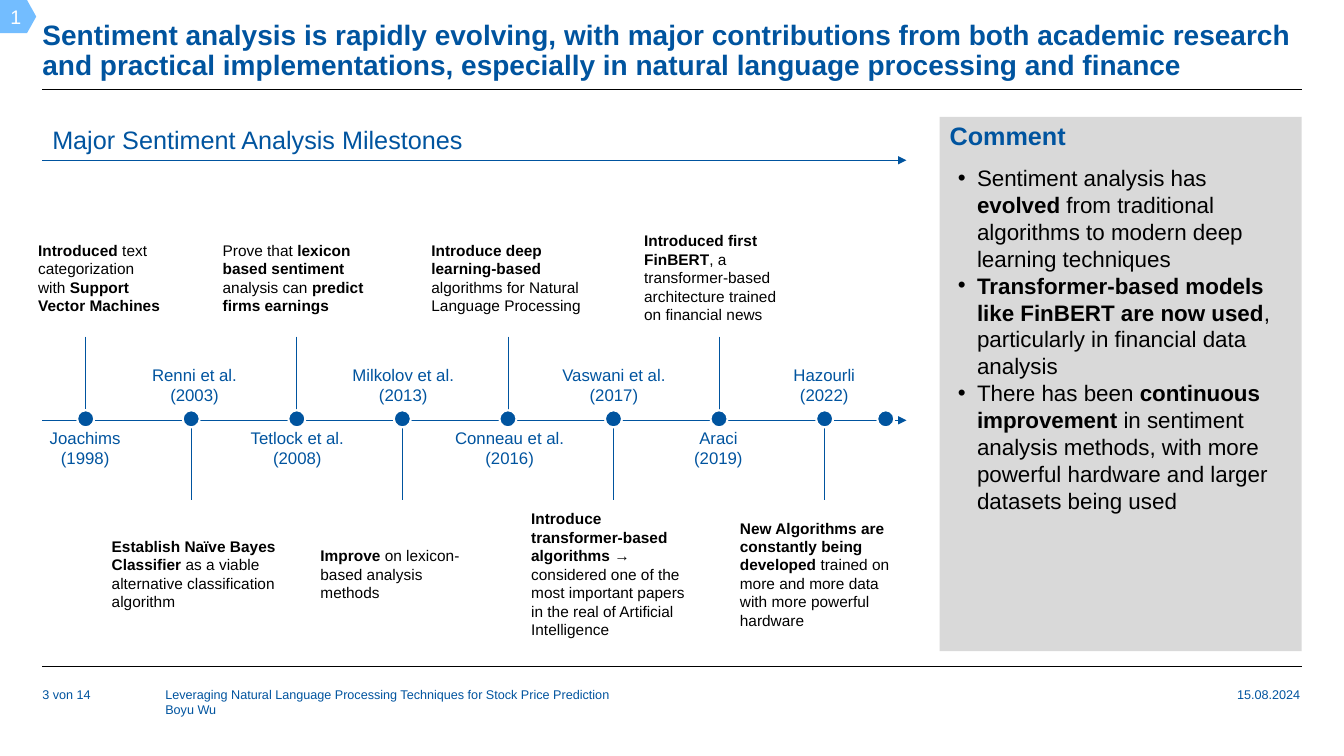
from lxml.etree import SubElement
from pptx import Presentation
from pptx.dml.color import RGBColor
from pptx.enum.shapes import MSO_CONNECTOR, MSO_SHAPE
from pptx.enum.text import MSO_ANCHOR, MSO_AUTO_SIZE, PP_ALIGN
from pptx.oxml.ns import qn
from pptx.util import Inches, Pt

BLUE, BLACK, WHITE, GREY, SKY = "00549F", "000000", "FFFFFF", "D9D9D9", "73BDFF"
LEFT, RIGHT, ARROW_END = 0.42, 12.91, 8.99

MILESTONES = [
    ("Joachims (1998)", (0.34, 1.01), (0.28, 1.44),
     [("Introduced", True), (" text categorization with ", False), ("Support Vector Machines", True)]),
    ("Renni et al. (2003)", (1.38, 1.1), (1.01, 1.83),
     [("Establish Naïve Bayes Classifier ", True),
      ("as a viable alternative classification algorithm", False)]),
    ("Tetlock et al. (2008)", (2.37, 1.16), (2.11, 1.69),
     [("Prove that ", False), ("lexicon based sentiment ", True),
      ("analysis can ", False), ("predict firms earnings", True)]),
    ("Milkolov et al. (2013)", (3.38, 1.24), (3.08, 1.83),
     [("Improve", True), (" on lexicon-based analysis methods", False)]),
    ("Conneau et al. (2016)", (4.41, 1.29), (4.18, 1.69),
     [("Introduce deep learning-based ", True),
      ("algorithms for Natural Language Processing", False)]),
    ("Vaswani et al. (2017)", (5.46, 1.26), (5.17, 1.83),
     [("Introduce transformer-based algorithms ", True),
      ("→ considered one of the most important papers in the real of Artificial Intelligence", False)]),
    ("Araci (2019)", (6.62, 1.01), (6.29, 1.69),
     [("Introduced first FinBERT", True),
      (", a transformer-based architecture trained on financial news", False)]),
    ("Hazourli (2022)", (7.67, 1.01), (7.24, 1.83),
     [("New Algorithms are constantly being developed ", True),
      ("trained on more and more data with more powerful hardware", False)]),
]

COMMENTS = [
    [("Sentiment analysis has ", False), ("evolved", True),
     (" from traditional algorithms to modern deep learning techniques", False)],
    [("Transformer-based models like FinBERT are now used", True),
     (", particularly in financial data analysis", False)],
    [("There has been ", False), ("continuous improvement", True),
     (" in sentiment analysis methods, with more powerful hardware and larger datasets being used", False)],
]


def rgb(value):
    """Turn a hex string into a colour."""
    return RGBColor.from_string(value)


def place(shape, box):
    """Move a shape to a box of left, top, width and height in inches."""
    shape.left, shape.top, shape.width, shape.height = map(Inches, box)


def write(shape, paragraphs, size, color, anchor=MSO_ANCHOR.MIDDLE, align=PP_ALIGN.LEFT, inset=True):
    """Fill a shape with paragraphs made of (text, bold) spans."""
    frame = shape.text_frame
    frame.word_wrap = True
    frame.auto_size = MSO_AUTO_SIZE.NONE
    frame.vertical_anchor = anchor
    frame.margin_left = frame.margin_right = Inches(0.1 if inset else 0)
    frame.margin_top = frame.margin_bottom = Inches(0.05 if inset else 0)
    for index, spans in enumerate(paragraphs):
        para = frame.add_paragraph() if index else frame.paragraphs[0]
        para.alignment = align
        for text, bold in spans:
            span = para.add_run()
            span.text = text
            span.font.name = "Arial"
            span.font.size = Pt(size)
            span.font.bold = bold
            span.font.color.rgb = rgb(color)


def add_text(page, box, paragraphs, size, color, **options):
    """Add a text box and write in it."""
    write(page.shapes.add_textbox(*map(Inches, box)), paragraphs, size, color, **options)


def add_block(page, kind, box, fill, outline=None):
    """Add a filled shape without shadow."""
    shape = page.shapes.add_shape(kind, *map(Inches, box))
    shape.shadow.inherit = False
    shape.fill.solid()
    shape.fill.fore_color.rgb = rgb(fill)
    if outline:
        shape.line.color.rgb = rgb(outline)
        shape.line.width = Pt(1.5)
    else:
        shape.line.fill.background()
    return shape


def add_line(page, start, end, color, arrow=False):
    """Draw a thin straight line, with an arrowhead if asked."""
    line = page.shapes.add_connector(MSO_CONNECTOR.STRAIGHT, *map(Inches, start + end))
    line.line.color.rgb = rgb(color)
    line.line.width = Pt(0.5)
    if arrow:
        SubElement(line.line._get_or_add_ln(), qn("a:tailEnd"), type="triangle")
    SubElement(line._element.spPr, qn("a:effectLst"))


def build_title(page, box):
    """Place the slide title and the rule below it."""
    left, top, width, height = box
    title = page.shapes.title
    place(title, box)
    write(title, [[("Sentiment analysis is rapidly evolving, with major contributions from both "
                    "academic research and practical implementations, especially in natural "
                    "language processing and finance", True)]],
          20, BLUE, anchor=MSO_ANCHOR.BOTTOM, inset=False)
    title.text_frame.paragraphs[0].line_spacing = 0.9
    rule = top + height + 0.08
    add_line(page, (left, rule), (left + width, rule), BLACK)


def build_badge(page, box):
    """Place the numbered section tag."""
    badge = add_block(page, MSO_SHAPE.PENTAGON, box, SKY)
    badge.adjustments[0] = 0.279
    write(badge, [[("1", False)]], 14, WHITE, align=PP_ALIGN.CENTER, inset=False)


def build_heading(page, box):
    """Place the timeline heading on its arrow."""
    left, top, width, height = box
    add_line(page, (left, top + height + 0.01), (ARROW_END, top + height + 0.01), BLUE, arrow=True)
    heading = add_block(page, MSO_SHAPE.RECTANGLE, box, WHITE)
    write(heading, [[("Major Sentiment Analysis Milestones", False)]], 18, BLUE)


def build_timeline(page, box):
    """Place the milestones alternately above and below the axis."""
    left, top, width, height = box
    axis, dot, step = top + 1.61, 0.17, 1.047
    centres = [left + 0.43 + step * index for index in range(len(MILESTONES))]
    for index, (label, label_span, note_span, note) in enumerate(MILESTONES):
        centre, odd = centres[index], index % 2
        stem = (axis + 0.06, axis + 0.79) if odd else (axis - 0.83, axis - 0.1)
        label_top = axis - 0.55 if odd else axis + 0.08
        note_top = axis + 1.33 if odd else top
        add_line(page, (centre, stem[0]), (centre, stem[1]), BLUE)
        add_text(page, (label_span[0], label_top, label_span[1], 0.39),
                 [[(label, False)]], 12, BLUE, align=PP_ALIGN.CENTER)
        add_text(page, (note_span[0], note_top, note_span[1], 0.39), [note], 11, BLACK)
    add_line(page, (left, axis), (left + width, axis), BLUE, arrow=True)
    for centre in centres + [left + 8.365]:
        add_block(page, MSO_SHAPE.OVAL, (centre - dot / 2, axis - 0.1, dot, dot), BLUE, WHITE)


def build_comment(page, box):
    """Place the grey panel with its heading and bullet list."""
    left, top, width, height = box
    panel = add_block(page, MSO_SHAPE.RECTANGLE, box, GREY)
    add_text(page, (left, top - 0.01, 1.37, 0.39), [[("Comment", True)]], 18, BLUE)
    body = page.placeholders[1]
    panel._element.addnext(body._element)
    place(body, (left + 0.08, top + 0.42, 3.36, 4.76))
    write(body, COMMENTS, 16, BLACK, anchor=MSO_ANCHOR.TOP)
    for para in body.text_frame.paragraphs:
        properties = para._p.get_or_add_pPr()
        properties.set("marL", str(Inches(0.19)))
        properties.set("indent", str(-Inches(0.19)))
        SubElement(properties, qn("a:buFont"), typeface="Arial")
        SubElement(properties, qn("a:buChar"), char="•")
        para.space_before = Pt(0)


def build_footer(page, box):
    """Place the bottom rule with page number, talk title and date."""
    left, top, width, height = box
    add_line(page, (left, top), (left + width, top), BLACK)
    parts = [
        (left, 1.07, ["3 von 14"]),
        (1.64, 6.2, ["Leveraging Natural Language Processing Techniques for Stock Price Prediction",
                     "Boyu Wu"]),
        (12.27, 1.06, ["15.08.2024"]),
    ]
    for start, span, lines in parts:
        add_text(page, (start, top + 0.2, span, height - 0.2), [[(line, False)] for line in lines],
                 9, BLUE, anchor=MSO_ANCHOR.TOP, inset=False)


def main():
    """Build the slide and save it."""
    deck = Presentation()
    deck.slide_width, deck.slide_height = Inches(13.33), Inches(7.5)
    page = deck.slides.add_slide(deck.slide_layouts[1])
    build_title(page, (LEFT, 0.22, RIGHT - LEFT, 0.59))
    build_heading(page, (LEFT, 1.19, 7.29, 0.39))
    build_comment(page, (9.32, 1.16, 3.59, 5.3))
    build_timeline(page, (LEFT, 2.56, ARROW_END - LEFT, 3.33))
    build_footer(page, (LEFT, 6.61, RIGHT - LEFT, 0.63))
    build_badge(page, (0, 0, 0.36, 0.33))
    deck.save("out.pptx")


if __name__ == "__main__":
    main()
